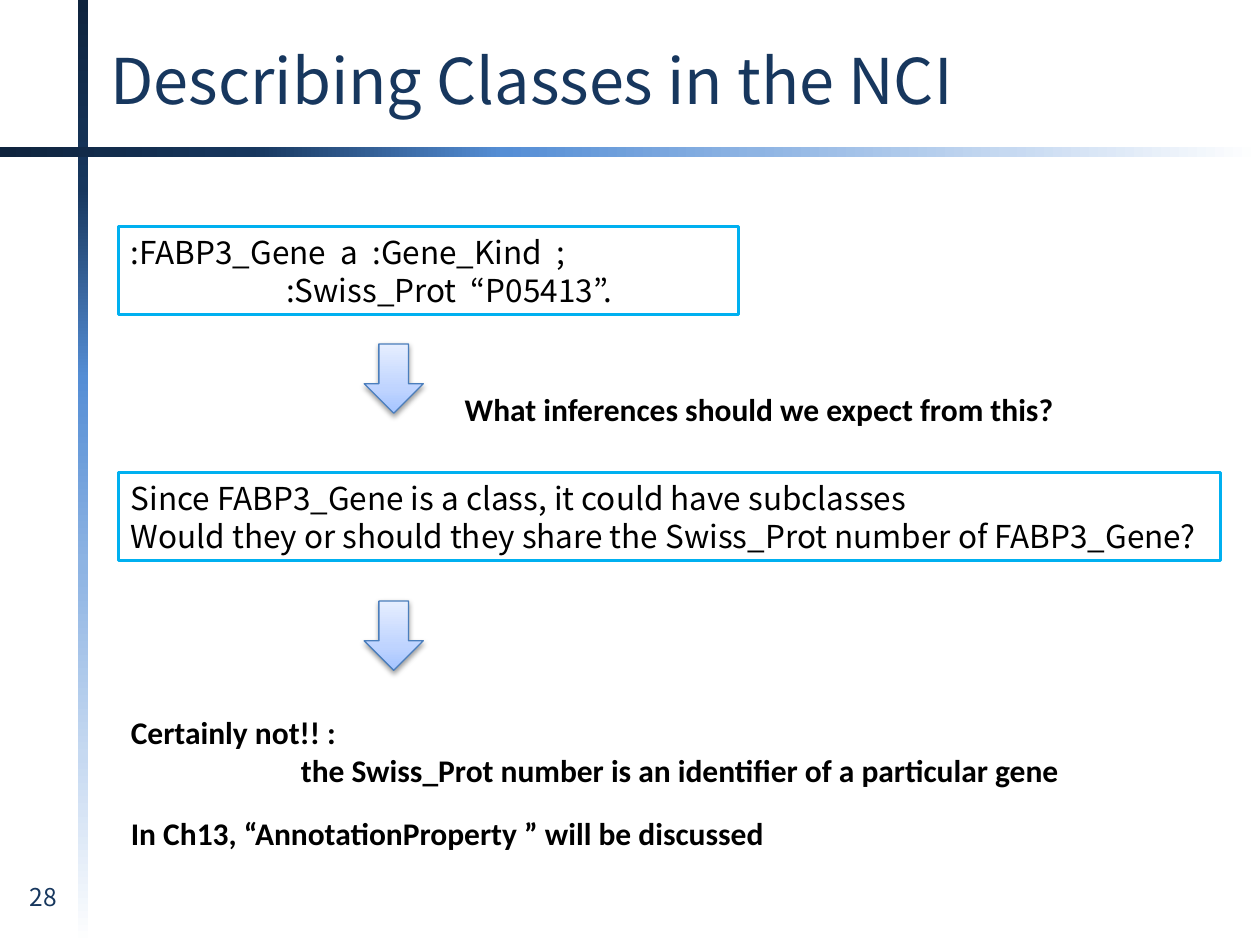
from dataclasses import dataclass
from typing import Optional

import pptx
import pptx.dml.color
import pptx.enum.shapes
import pptx.enum.text
import pptx.oxml.ns
import pptx.oxml.xmlchemy
import pptx.util
from pptx.util import Inches

Align = pptx.enum.text.PP_ALIGN
Anchor = pptx.enum.text.MSO_ANCHOR
Preset = pptx.enum.shapes.MSO_SHAPE
qn = pptx.oxml.ns.qn


@dataclass(frozen=True)
class Style:
    font: str
    size: int
    color: str
    bold: bool = False


@dataclass(frozen=True)
class Theme:
    title: Style = Style("Noto Sans CJK KR", 36, "17375E")
    number: Style = Style("Noto Sans CJK KR", 14, "17375E")
    body: Style = Style("Noto Sans CJK KR", 18, "000000")
    comment: Style = Style("Calibri", 18, "000000", True)
    frame_line: str = "00B0F0"
    arrow_line: str = "4B7EBC"
    bar_stops: tuple = ((0, "0F243E"), (20, "17375E"), (40, "558ED5"),
                        (60, "8EB4E3"), (80, "C6D9F1"), (100, "FFFFFF"))
    arrow_stops: tuple = ((0, "A4C4FF"), (35, "BFD4FF"), (100, "E6EEFF"))


@dataclass(frozen=True)
class Box:
    left: float
    top: float
    width: float
    height: float

    def lengths(self) -> tuple:
        return tuple(Inches(v) for v in (self.left, self.top, self.width, self.height))


@dataclass(frozen=True)
class Line:
    text: str
    indent: float = 0


@dataclass(frozen=True)
class TextBlock:
    box: Box
    lines: tuple
    style: Style
    framed: bool = False
    anchor: Anchor = Anchor.TOP
    align: Align = Align.LEFT


THEME = Theme()
LEFT = 0.94
BARS = ((Box(0.62, 0, 0.08, 7.5), 90), (Box(0, 1.17, 10, 0.08), 0))
ARROWS = tuple(Box(2.89, top, 0.47, 0.55) for top in (2.73, 4.77))
BLOCKS = (
    TextBlock(Box(0.78, 0.16, 8.05, 0.94), (Line("Describing Classes in the NCI"),),
              THEME.title, anchor=Anchor.MIDDLE),
    TextBlock(Box(0.06, 6.95, 0.57, 0.4), (Line("28"),), THEME.number, align=Align.CENTER),
    TextBlock(Box(LEFT, 1.8, 4.92, 0.7),
              (Line(":FABP3_Gene  a  :Gene_Kind  ;"),
               Line("                      :Swiss_Prot  “P05413”.")),
              THEME.body, framed=True, anchor=Anchor.MIDDLE),
    TextBlock(Box(3.59, 3.05, 5.47, 0.4),
              (Line("What inferences should we expect from this?"),), THEME.comment),
    TextBlock(Box(LEFT, 3.75, 8.75, 0.7),
              (Line("Since FABP3_Gene is a class, it could have subclasses"),
               Line("Would they or should they share the Swiss_Prot number of FABP3_Gene?")),
              THEME.body, framed=True, anchor=Anchor.MIDDLE),
    TextBlock(Box(LEFT, 5.61, 8.67, 0.71),
              (Line("Certainly not!! :"),
               Line("the Swiss_Prot number is an identifier of a particular gene", 1.35)),
              THEME.comment),
    TextBlock(Box(LEFT, 6.41, 7.42, 0.4),
              (Line("In Ch13, “AnnotationProperty ” will be discussed"),), THEME.comment),
)


def rgb(color: str) -> pptx.dml.color.RGBColor:
    return pptx.dml.color.RGBColor.from_string(color)


def append_xml(parent, tag: str, **attributes):
    child = pptx.oxml.xmlchemy.OxmlElement(tag)
    for name, value in attributes.items():
        child.set(name, str(value))
    parent.append(child)
    return child


def add_preset(slide, preset, box: Box, line_color: Optional[str] = None,
               line_width: float = 0):
    shape = slide.shapes.add_shape(preset, *box.lengths())
    shape.shadow.inherit = False
    shape.fill.background()
    if line_color:
        shape.line.color.rgb = rgb(line_color)
        shape.line.width = pptx.util.Pt(line_width)
    else:
        shape.line.fill.background()
    return shape


def fill_gradient(shape, stops: tuple, angle: int) -> None:
    """Fill with any number of stops; the angle runs clockwise in degrees."""
    shape.fill.gradient()
    gradient = shape._element.spPr.find(qn("a:gradFill"))
    stop_list = gradient.find(qn("a:gsLst"))
    for stop in list(stop_list):
        stop_list.remove(stop)
    for position, color in stops:
        stop = append_xml(stop_list, "a:gs", pos=position * 1000)
        append_xml(stop, "a:srgbClr", val=color)
    gradient.find(qn("a:lin")).set("ang", str(angle * 60000))


def add_arrow(slide, box: Box) -> None:
    arrow = add_preset(slide, Preset.DOWN_ARROW, box, THEME.arrow_line, 0.75)
    fill_gradient(arrow, THEME.arrow_stops, 270)
    effects = arrow._element.spPr.find(qn("a:effectLst"))
    shadow = append_xml(effects, "a:outerShdw", blurRad=pptx.util.Pt(3.1),
                        dist=pptx.util.Pt(1.6), dir=90 * 60000, rotWithShape=0)
    color = append_xml(shadow, "a:srgbClr", val="000000")
    append_xml(color, "a:alpha", val=38000)


def add_text(slide, block: TextBlock) -> None:
    if block.framed:
        shape = add_preset(slide, Preset.RECTANGLE, block.box, THEME.frame_line, 1.75)
    else:
        shape = slide.shapes.add_textbox(*block.box.lengths())
    frame = shape.text_frame
    frame.word_wrap = not block.framed
    frame.vertical_anchor = block.anchor
    for index, line in enumerate(block.lines):
        paragraph = frame.add_paragraph() if index else frame.paragraphs[0]
        paragraph.alignment = block.align
        if line.indent:
            properties = paragraph._p.get_or_add_pPr()
            properties.set("marL", str(Inches(line.indent)))
            properties.set("indent", "0")
        run = paragraph.add_run()
        run.text = line.text
        run.font.name = block.style.font
        run.font.size = pptx.util.Pt(block.style.size)
        run.font.bold = block.style.bold
        run.font.color.rgb = rgb(block.style.color)


def main() -> None:
    presentation = pptx.Presentation()
    presentation.slide_width, presentation.slide_height = Inches(10), Inches(7.5)
    slide = presentation.slides.add_slide(presentation.slide_layouts[6])
    for box, angle in BARS:
        fill_gradient(add_preset(slide, Preset.RECTANGLE, box), THEME.bar_stops, angle)
    for block in BLOCKS:
        add_text(slide, block)
    for box in ARROWS:
        add_arrow(slide, box)
    presentation.save("out.pptx")


if __name__ == "__main__":
    main()
